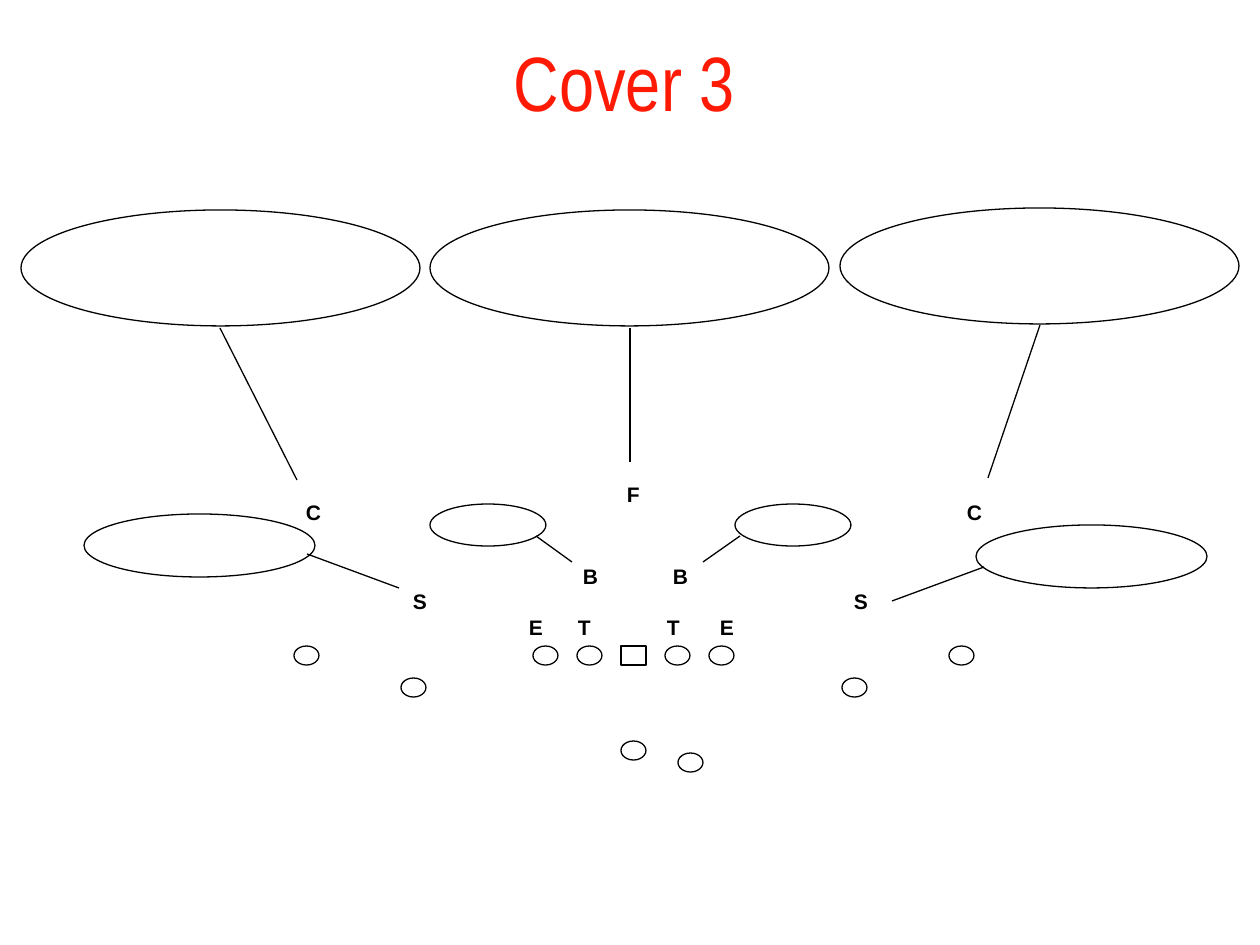
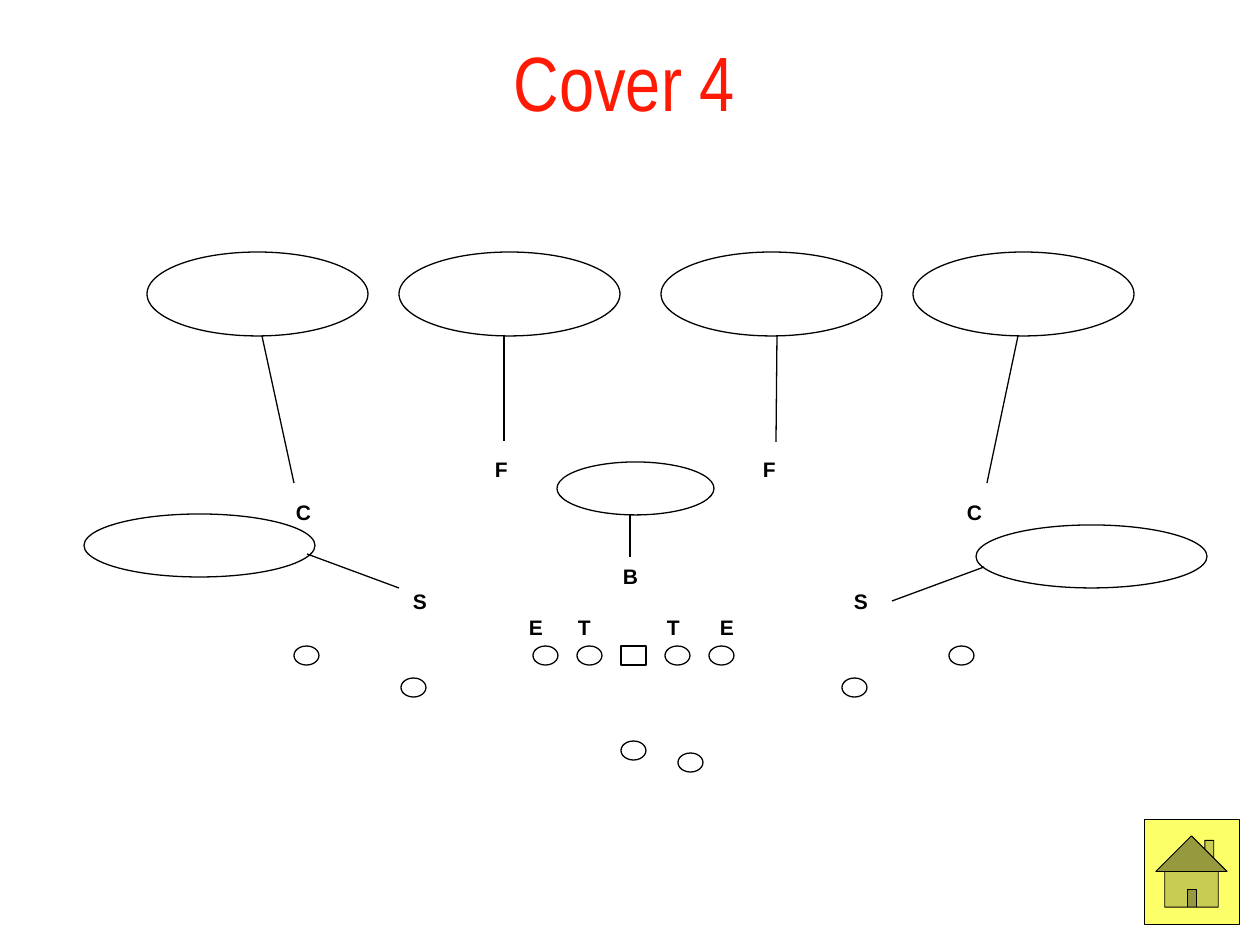
from dataclasses import dataclass

from lxml import etree
from pptx import Presentation
from pptx import util as u
from pptx.dml.color import RGBColor
from pptx.enum import shapes, text
from pptx.oxml.ns import qn

PX_PER_INCH = 126


@dataclass(frozen=True)
class Theme:
    title_color: RGBColor = RGBColor.from_string("FF1A05")
    ink: RGBColor = RGBColor.from_string("000000")
    paper: RGBColor = RGBColor.from_string("FFFFFF")
    button: RGBColor = RGBColor.from_string("FCFF68")
    title_font: str = "Arial Narrow"
    label_font: str = "Arial"
    title_size: float = 44
    label_size: float = 12
    line_width: float = 0.75
    button_line: float = 0.5


THEME = Theme()
OVAL = shapes.MSO_SHAPE.OVAL
TITLE_BOX = (472, 21, 305, 120)

# Offense: left, top of each player
PLAYER_SIZE = (25, 19)
LINE_LEFT, LINE_TOP, LINE_STEP, LINE_COUNT = 533, 646, 44, 5
CENTER = LINE_COUNT // 2
BACKS_AND_ENDS = [(621, 741), (401, 678), (842, 678), (294, 646), (949, 646), (678, 753)]

# Defense on every coverage: letter, left, top
LABEL_SIZE = (38, 38)
LABEL_INSET = (12, 6)
FRONT = [("E", 517, 609), ("T", 566, 609), ("T", 655, 609), ("E", 708, 609),
         ("S", 401, 583), ("S", 842, 583), ("C", 955, 494)]
FLAT_ZONES = [(84, 514, 231, 63), (976, 525, 231, 63)]
FLAT_DROPS = [(307, 554, 399, 588), (984, 567, 892, 601)]

# zones: left, top, width, height; drops: x1, y1, x2, y2
COVERAGES = [
    {
        "title": "Cover 3",
        "defenders": [("B", 571, 558), ("B", 661, 558), ("F", 615, 476), ("C", 294, 494)],
        "zones": [(21, 210, 399, 116), (430, 210, 399, 116), (840, 208, 399, 116),
                  (430, 504, 116, 42), (735, 504, 116, 42)],
        "drops": [(630, 462, 630, 328), (988, 478, 1040, 325), (297, 480, 220, 328),
                  (536, 536, 572, 562), (740, 536, 703, 562)],
        "home": None,
    },
    {
        "title": "Cover 4",
        "defenders": [("B", 611, 558), ("F", 483, 451), ("F", 751, 451), ("C", 284, 494)],
        "zones": [(147, 252, 221, 84), (399, 252, 221, 84), (661, 252, 221, 84),
                  (913, 252, 221, 84), (557, 462, 157, 53)],
        "drops": [(262, 336, 294, 483), (1018, 336, 987, 483), (504, 336, 504, 441),
                  (777, 336, 776, 442), (630, 557, 630, 514)],
        "home": (1144, 819, 95, 105),
    },
]


def px(*lengths):
    return [u.Emu(round(length * 914400 / PX_PER_INCH)) for length in lengths]


def write(paragraph, words, font, size, color, bold=False):
    run = paragraph.add_run()
    run.text = words
    run.font.name = font
    run.font.size = u.Pt(size)
    run.font.color.rgb = color
    run.font.bold = bold


def add_title(slide, words):
    title = slide.shapes.title
    title.left, title.top, title.width, title.height = px(*TITLE_BOX)
    frame = title.text_frame
    frame.auto_size = text.MSO_AUTO_SIZE.NONE
    frame.vertical_anchor = text.MSO_ANCHOR.MIDDLE
    frame.paragraphs[0].alignment = text.PP_ALIGN.CENTER
    write(frame.paragraphs[0], words, THEME.title_font, THEME.title_size, THEME.title_color)


def add_outline(slide, kind, box, fill=None, width=THEME.line_width):
    outline = slide.shapes.add_shape(kind, *px(*box))
    outline.shadow.inherit = False
    outline.line.color.rgb = THEME.ink
    outline.line.width = u.Pt(width)
    if fill is None:
        outline.fill.background()
    else:
        outline.fill.solid()
        outline.fill.fore_color.rgb = fill


def add_drop(slide, ends):
    """Line between a defender and the zone he drops into."""
    drop = slide.shapes.add_connector(shapes.MSO_CONNECTOR.STRAIGHT, *px(*ends))
    drop.line.color.rgb = THEME.ink
    drop.line.width = u.Pt(THEME.line_width)
    etree.SubElement(drop._element.spPr, qn("a:effectLst"))


def add_defender(slide, letter, left, top):
    frame = slide.shapes.add_textbox(*px(left, top, *LABEL_SIZE)).text_frame
    frame.word_wrap = True
    frame.margin_left, frame.margin_top = px(*LABEL_INSET)
    frame.margin_right = 0
    write(frame.paragraphs[0], letter, THEME.label_font, THEME.label_size, THEME.ink, bold=True)


def add_offense(slide):
    for i in range(LINE_COUNT):
        kind = shapes.MSO_SHAPE.RECTANGLE if i == CENTER else OVAL
        spot = (LINE_LEFT + i * LINE_STEP, LINE_TOP)
        add_outline(slide, kind, spot + PLAYER_SIZE, THEME.paper)
    for spot in BACKS_AND_ENDS:
        add_outline(slide, OVAL, spot + PLAYER_SIZE, THEME.paper)


def add_coverage(deck, coverage):
    slide = deck.slides.add_slide(deck.slide_layouts[5])
    add_title(slide, coverage["title"])
    add_offense(slide)
    for defender in FRONT + coverage["defenders"]:
        add_defender(slide, *defender)
    for zone in coverage["zones"] + FLAT_ZONES:
        add_outline(slide, OVAL, zone)
    for drop in coverage["drops"] + FLAT_DROPS:
        add_drop(slide, drop)
    if coverage["home"]:
        add_outline(slide, shapes.MSO_SHAPE.ACTION_BUTTON_HOME, coverage["home"],
                    THEME.button, THEME.button_line)


def main():
    deck = Presentation()
    deck.slide_width, deck.slide_height = u.Inches(10), u.Inches(7.5)
    for coverage in COVERAGES:
        add_coverage(deck, coverage)
    deck.save("out.pptx")


if __name__ == "__main__":
    main()
